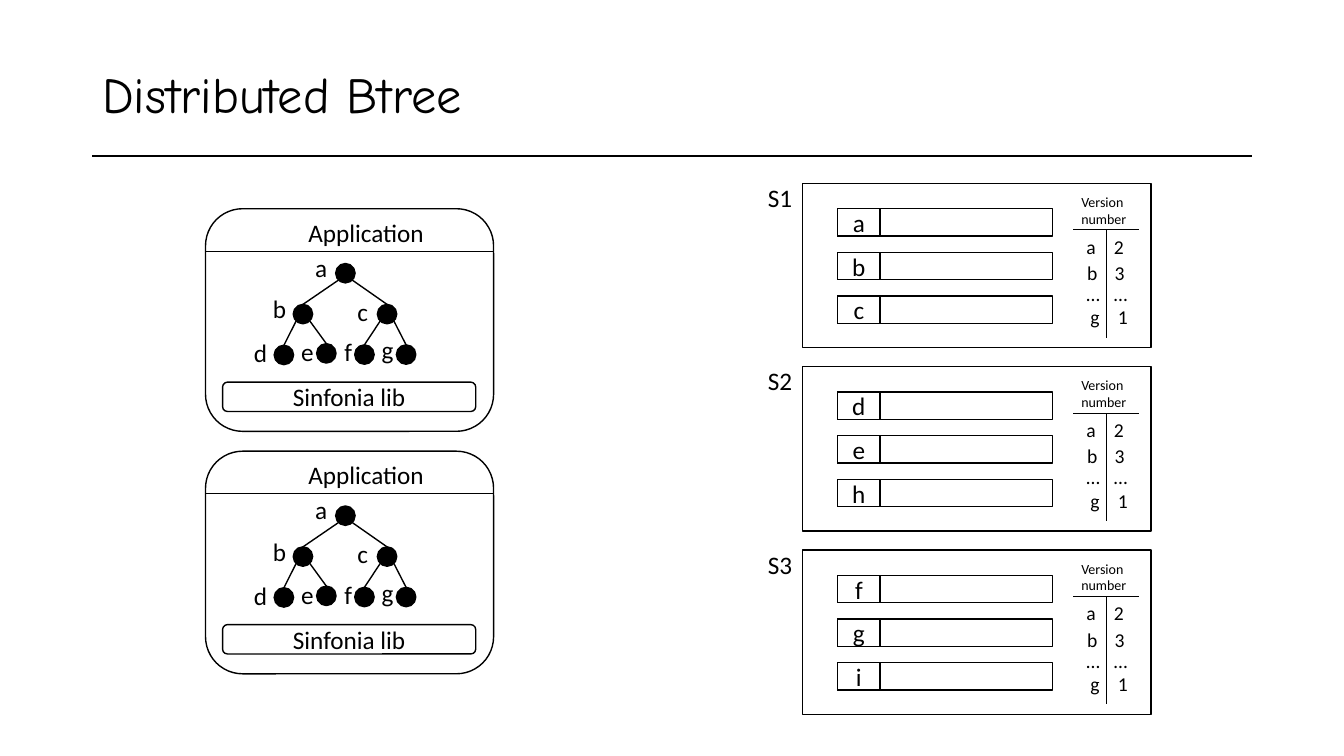
from lxml.etree import SubElement
from pptx import Presentation
from pptx.dml.color import RGBColor
from pptx.enum.shapes import MSO_CONNECTOR, MSO_SHAPE
from pptx.enum.text import MSO_ANCHOR, PP_ALIGN
from pptx.oxml.ns import qn
from pptx.util import Cm, Pt

TITLE = "Distributed Btree"
NODES = {
    "a": ((3.28, 1.38), (2.51, 0.97)),
    "b": ((2.21, 2.41), (1.45, 2.01)),
    "c": ((4.33, 2.41), (3.58, 2.08)),
    "d": ((1.73, 3.44), (0.97, 3.12)),
    "e": ((2.8, 3.4), (2.16, 3.1)),
    "f": ((3.76, 3.43), (3.25, 3.1)),
    "g": ((4.81, 3.43), (4.19, 3.05)),
}
EDGES = ["ac", "ab", "bd", "be", "cf", "cg"]
SERVERS = {"S1": "abc", "S2": "deh", "S3": "fgi"}
VERSIONS = [
    ("a", "2", 6.91, 1.17),
    ("b", "3", 6.93, 1.83),
    ("…", "…", 6.91, 2.36),
    ("g", "1", 7.01, 2.95),
]
COLORS = {"ink": "000000", "paper": "FFFFFF"}
BODY, HEADING = "Calibri", "Comic Neue"
APP_X, APP_Y, APP_STEP, APP_W, APP_H = 5.18, 5.26, 6.11, 7.26, 5.61
SERVER_X, SERVER_Y, SERVER_STEP = 20.22, 4.62, 4.62
ROW_STEP, ROW_H = 1.1, 0.69
NODE = 0.49
TAB = 0.69


def rgb(name):
    return RGBColor.from_string(COLORS[name])


def write(tf, text, size, font=BODY):
    p = tf.paragraphs[0]
    p.text = text
    p.font.size = Pt(size)
    p.font.name = font
    p.font.color.rgb = rgb("ink")
    return p


def label(shapes, text, x, y, w, h, size=18, font=BODY):
    tf = shapes.add_textbox(Cm(x), Cm(y), Cm(w), Cm(h)).text_frame
    tf.word_wrap = True
    return write(tf, text, size, font)


def box(shapes, kind, x, y, w, h, text="", fill="paper"):
    s = shapes.add_shape(kind, Cm(x), Cm(y), Cm(w), Cm(h))
    s.shadow.inherit = False
    s.fill.solid()
    s.fill.fore_color.rgb = rgb(fill)
    s.line.color.rgb = rgb("ink")
    s.line.width = Pt(1)
    if text:
        s.text_frame.vertical_anchor = MSO_ANCHOR.MIDDLE
        write(s.text_frame, text, 18).alignment = PP_ALIGN.CENTER


def line(shapes, x1, y1, x2, y2, width):
    s = shapes.add_connector(MSO_CONNECTOR.STRAIGHT, Cm(x1), Cm(y1), Cm(x2), Cm(y2))
    s.line.color.rgb = rgb("ink")
    s.line.width = Pt(width)
    SubElement(s._element.spPr, qn("a:effectLst"))


def set_tab(p, pos):
    tabs = SubElement(p._p.get_or_add_pPr(), qn("a:tabLst"))
    SubElement(tabs, qn("a:tab"), pos=str(Cm(pos)), algn="l")


def application(shapes, x, y):
    box(shapes, MSO_SHAPE.ROUNDED_RECTANGLE, x, y, APP_W, APP_H)
    line(shapes, x, y + 1.07, x + APP_W, y + 1.07, 0.5)
    label(shapes, "Application", x + 2.34, y + 0.08, 3.99, 0.86)
    for parent, child in EDGES:
        (px, py), (cx, cy) = NODES[parent][0], NODES[child][0]
        mid = NODE / 2
        rim = 0.17 if cx > px else -0.17
        line(shapes, x + px + mid + rim, y + py + mid + 0.17,
             x + cx + mid, y + cy, 1)
    for name, ((nx, ny), (tx, ty)) in NODES.items():
        box(shapes, MSO_SHAPE.OVAL, x + nx, y + ny, NODE, NODE, fill="ink")
        label(shapes, name, x + tx, y + ty, 0.81, 1.02)
    box(shapes, MSO_SHAPE.ROUNDED_RECTANGLE, x + 0.43, y + 4.37, 6.38, 0.74, "Sinfonia lib")


def server(shapes, name, keys, x, y):
    box(shapes, MSO_SHAPE.RECTANGLE, x, y, 8.79, 4.14)
    label(shapes, name, x - 1.12, y - 0.15, 1.2, 1.02)
    for i, key in enumerate(keys):
        top = y + 0.64 + i * ROW_STEP
        box(shapes, MSO_SHAPE.RECTANGLE, x + 0.89, top, 5.41, ROW_H)
        box(shapes, MSO_SHAPE.RECTANGLE, x + 0.89, top, 1.07, ROW_H, key)
    line(shapes, x + 6.83, y + 1.17, x + 8.48, y + 1.17, 0.5)
    line(shapes, x + 7.65, y + 1.17, x + 7.65, y + 3.89, 0.5)
    label(shapes, "Version number", x + 6.78, y + 0.13, 2.59, 1.12, 10)
    for key, version, vx, vy in VERSIONS:
        set_tab(label(shapes, f"{key}\t{version}", x + vx, y + vy, 1.57, 0.86, 14), TAB)


def main():
    prs = Presentation()
    prs.slide_width, prs.slide_height = Cm(33.87), Cm(19.05)
    shapes = prs.slides.add_slide(prs.slide_layouts[6]).shapes

    p = label(shapes, TITLE, 2.33, 1.02, 29.21, 2.84, 36, HEADING)
    p.line_spacing = 0.9
    shapes[0].text_frame.vertical_anchor = MSO_ANCHOR.MIDDLE
    line(shapes, 2.33, 3.92, 31.54, 3.92, 1.5)

    for i in range(2):
        application(shapes.add_group_shape().shapes, APP_X, APP_Y + i * APP_STEP)
    for i, (name, keys) in enumerate(SERVERS.items()):
        server(shapes.add_group_shape().shapes, name, keys,
               SERVER_X, SERVER_Y + i * SERVER_STEP)
    prs.save("out.pptx")


if __name__ == "__main__":
    main()
